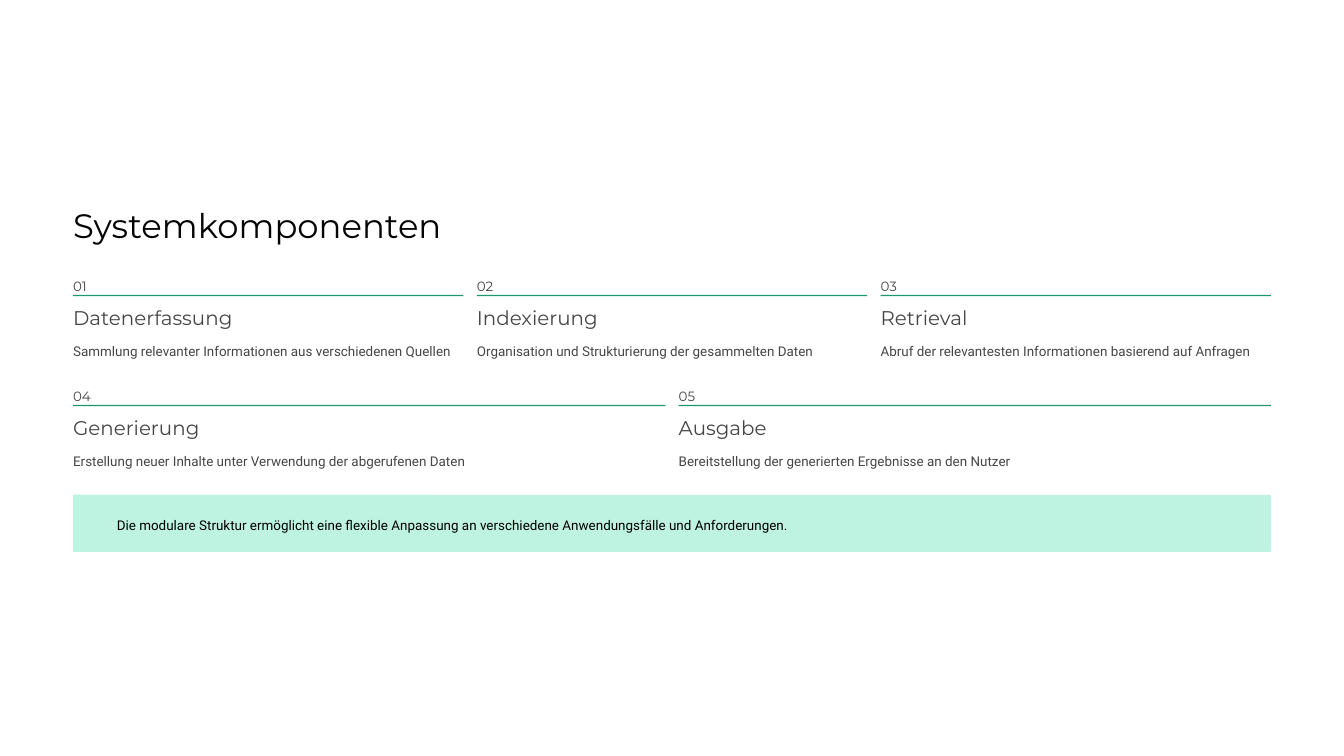
from pptx import Presentation
from pptx import util as u
from pptx.dml.color import RGBColor
from pptx.enum import shapes, text

COLORS = {"page": "FFFFFF", "title": "030303", "body": "464646",
          "rule": "1C9770", "band": "BEF3E2", "note": "000000"}
HEADING_FONT, BODY_FONT = "Montserrat", "Roboto"
PAGE_WIDTH, PAGE_HEIGHT = 1152, 648
LEFT, WIDTH, GAP = 62.64, 1026.72, 11.52
FIRST_ROW, ROW_PITCH, ROW_HEIGHT = 234, 94.32, 74.16

COMPONENT_ROWS = [
    [("01", "Datenerfassung", "Sammlung relevanter Informationen aus verschiedenen Quellen"),
     ("02", "Indexierung", "Organisation und Strukturierung der gesammelten Daten"),
     ("03", "Retrieval", "Abruf der relevantesten Informationen basierend auf Anfragen")],
    [("04", "Generierung", "Erstellung neuer Inhalte unter Verwendung der abgerufenen Daten"),
     ("05", "Ausgabe", "Bereitstellung der generierten Ergebnisse an den Nutzer")],
]


def add_label(slide, box, wording, size, leading, font, color):
    """Place one line of text without margins in the given box."""
    frame = slide.shapes.add_textbox(*map(u.Pt, box)).text_frame
    frame.margin_left = frame.margin_top = frame.margin_right = frame.margin_bottom = 0
    frame.word_wrap = False
    frame.vertical_anchor = text.MSO_ANCHOR.TOP
    line = frame.paragraphs[0]
    line.alignment = text.PP_ALIGN.LEFT
    line.line_spacing = u.Pt(leading)
    run = line.add_run()
    run.text = wording
    run.font.name = font
    run.font.size = u.Pt(size)
    run.font.color.rgb = RGBColor.from_string(COLORS[color])


def add_block(slide, kind, box, color):
    """Draw a filled shape without outline or shadow."""
    block = slide.shapes.add_shape(kind, *map(u.Pt, box))
    block.shadow.inherit = False
    block.fill.solid()
    block.fill.fore_color.rgb = RGBColor.from_string(COLORS[color])
    block.line.fill.background()
    return block


def add_component(slide, box, number, name, description):
    """Draw a numbered component with its rule, name and description."""
    left, top, width, height = box
    add_label(slide, (left, top, 18, 14.4), number, 11.5, 18.5, HEADING_FONT, "body")
    add_block(slide, shapes.MSO_SHAPE.RECTANGLE, (left, top + 18.72, width, 1.2), "rule")
    add_label(slide, (left, top + 26.64, 174.24, 21.6), name, 17, 21.5, HEADING_FONT, "body")
    add_label(slide, (left, top + height - 18.72, width, 18.72),
              description, 11.5, 18.5, BODY_FONT, "body")


def add_component_row(slide, box, components):
    """Share the width of the box equally among the components."""
    left, top, width, height = box
    column = (width - GAP * (len(components) - 1)) / len(components)
    for index, component in enumerate(components):
        cell = (left + index * (column + GAP), top, column, height)
        add_component(slide, cell, *component)


def add_note(slide, box, wording):
    """Draw the tinted band with the closing remark."""
    left, top, width, height = box
    band = add_block(slide, shapes.MSO_SHAPE.ROUNDED_RECTANGLE, box, "band")
    band.adjustments[0] = 0.015
    add_label(slide, (left + 37.44, top + 14.4, width - 48.96, 18.72),
              wording, 11.5, 18.5, BODY_FONT, "note")


def main():
    """Build the slide of system components and save it."""
    deck = Presentation()
    deck.slide_width, deck.slide_height = u.Pt(PAGE_WIDTH), u.Pt(PAGE_HEIGHT)
    slide = deck.slides.add_slide(deck.slide_layouts[6])
    add_block(slide, shapes.MSO_SHAPE.RECTANGLE, (0, 0, PAGE_WIDTH, PAGE_HEIGHT), "page")
    add_label(slide, (LEFT, 174.24, 323.28, 36), "Systemkomponenten",
              29, 36, HEADING_FONT, "title")
    for index, components in enumerate(COMPONENT_ROWS):
        row = (LEFT, FIRST_ROW + index * ROW_PITCH, WIDTH, ROW_HEIGHT)
        add_component_row(slide, row, components)
    add_note(slide, (LEFT, 424.08, WIDTH, 48.96),
             "Die modulare Struktur ermöglicht eine flexible Anpassung an "
             "verschiedene Anwendungsfälle und Anforderungen.")
    deck.save("out.pptx")


if __name__ == "__main__":
    main()
